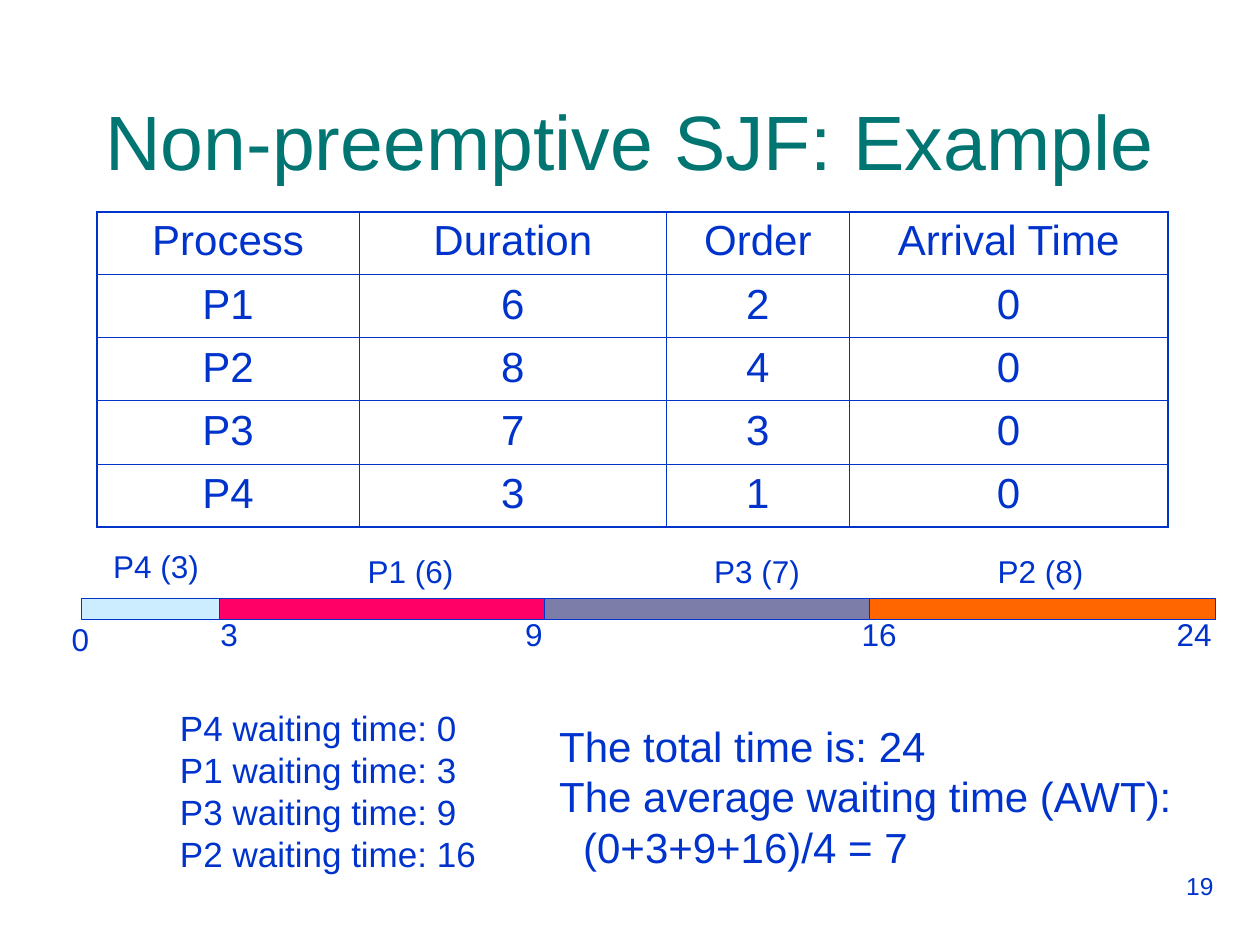
from lxml import etree
from pptx import Presentation
from pptx import util as u
from pptx.dml import color
from pptx.enum import dml, shapes, text
from pptx.oxml import ns

COLORS = {
    "ink": "0033CC", "title": "007572", "P4": "CCECFF",
    "P1": "FF0066", "P3": "7D7DA9", "P2": "FF6600",
}
FONT = "Arial"
CELL = 0.1
THIN, THICK = 0.45, 1.08
BAR_ROW, BAR_ROWS = 47.5, 1.7

PROCESSES = [
    ("Process", "Duration", "Order", "Arrival Time"),
    ("P1", "6", "2", "0"),
    ("P2", "8", "4", "0"),
    ("P3", "7", "3", "0"),
    ("P4", "3", "1", "0"),
]
SCHEDULE = [
    ("P4", 3, 6.5, 11.7, 8, 42.9),
    ("P1", 6, 17.4, 25.8, 28.2, 43.3),
    ("P3", 7, 43.2, 25.8, 55.7, 43.3),
    ("P2", 8, 69, 27.5, 78.2, 43.3),
]
TICKS = [(4.7, 48.7), (16.5, 48.3), (40.7, 48.3), (67.4, 48.3), (92.4, 48.3)]


def grid(*cells):
    return [u.Inches(cell * CELL) for cell in cells]


def rgb(name):
    return color.RGBColor.from_string(COLORS[name])


def style(paragraph, size, ink="ink", align=None):
    paragraph.alignment = align
    paragraph.font.size = u.Pt(size)
    paragraph.font.name = FONT
    paragraph.font.color.rgb = rgb(ink)


def add_text(slide, area, lines, size, ink="ink", align=None, wrap=False):
    frame = slide.shapes.add_textbox(*grid(*area)).text_frame
    frame.word_wrap = wrap
    frame.text = "\n".join(lines)
    for paragraph in frame.paragraphs:
        style(paragraph, size, ink, align)
    return frame


def set_border(cell, side, width):
    edge = etree.SubElement(cell._tc.get_or_add_tcPr(), ns.qn(f"a:ln{side}"),
                            w=str(u.Pt(width)))
    fill = etree.SubElement(edge, ns.qn("a:solidFill"))
    etree.SubElement(fill, ns.qn("a:srgbClr"), val=COLORS["ink"])


def add_process_table(slide):
    rows, columns = len(PROCESSES), len(PROCESSES[0])
    table = slide.shapes.add_table(rows, columns, *grid(7.7, 16.8, 85, 25)).table
    table.first_row = table.horz_banding = False
    for column, width in zip(table.columns, grid(20.8, 24.4, 14.5, 25.3)):
        column.width = width
    for r, record in enumerate(PROCESSES):
        for c, value in enumerate(record):
            cell = table.cell(r, c)
            outer = {"L": c == 0, "R": c == columns - 1,
                     "T": r == 0, "B": r == rows - 1}
            for side, is_outer in outer.items():
                set_border(cell, side, THICK if is_outer else THIN)
            cell.fill.background()
            cell.text = value
            paragraph = cell.text_frame.paragraphs[0]
            style(paragraph, 24, align=text.PP_ALIGN.CENTER)
            paragraph.space_before = u.Pt(6)


def add_axis(slide):
    axis = slide.shapes.add_connector(
        shapes.MSO_CONNECTOR.STRAIGHT, *grid(6.5, 48.35, 96.5, 48.35))
    axis.line.color.rgb = rgb("ink")
    axis.line.width = u.Pt(0.75)
    axis.line.dash_style = dml.MSO_LINE.DASH
    etree.SubElement(axis._element.spPr, ns.qn("a:effectLst"))
    return axis


def add_segment(slide, process, left, width):
    segment = slide.shapes.add_shape(
        shapes.MSO_SHAPE.RECTANGLE, *grid(left, BAR_ROW, width, BAR_ROWS))
    segment.shadow.inherit = False
    segment.fill.solid()
    segment.fill.fore_color.rgb = rgb(process)
    segment.line.color.rgb = rgb("ink")
    segment.line.width = u.Pt(0.75)
    return segment


def add_timeline(slide):
    axis = add_axis(slide)
    segments = []
    for process, duration, left, width, label_left, label_top in SCHEDULE:
        segments.append(add_segment(slide, process, left, width))
        add_text(slide, (label_left, label_top, 8.8, 4),
                 [f"{process} ({duration})"], 18)
    axis.begin_connect(segments[0], 1)
    axis.end_connect(segments[-1], 3)

    elapsed = 0
    for (left, top), duration in zip(TICKS, [0] + [job[1] for job in SCHEDULE]):
        elapsed += duration
        width = 3.4 if elapsed < 10 else 4.8
        add_text(slide, (left, top, width, 4), [str(elapsed)], 18)


def add_results(slide):
    waits, elapsed = [], 0
    for process, duration, *_ in SCHEDULE:
        waits.append(f"{process} waiting time: {elapsed}")
        elapsed += duration
    add_text(slide, (13.3, 55.6, 25.5, 14.4), waits, 20)

    summary = add_text(slide, (43.4, 56.7, 51.6, 13), [
        f"The total time is: {elapsed}",
        "The average waiting time (AWT):",
        "(0+3+9+16)/4 = 7",
    ], 24)
    formula = summary.paragraphs[-1]._p.get_or_add_pPr()
    formula.set("marL", str(u.Inches(0.19)))
    formula.set("indent", "0")


def main():
    deck = Presentation()
    deck.slide_width, deck.slide_height = grid(100, 75)
    slide = deck.slides.add_slide(deck.slide_layouts[6])
    add_text(slide, (72.3, 68.6, 25, 5.2), ["19"], 14,
             align=text.PP_ALIGN.RIGHT, wrap=True)
    title = add_text(slide, (3.3, 4.8, 93.4, 12.5),
                     ["Non-preemptive SJF: Example"], 44, "title",
                     text.PP_ALIGN.CENTER, wrap=True)
    title.vertical_anchor = text.MSO_ANCHOR.MIDDLE
    add_process_table(slide)
    add_results(slide)
    add_timeline(slide)
    deck.save("out.pptx")


if __name__ == "__main__":
    main()
